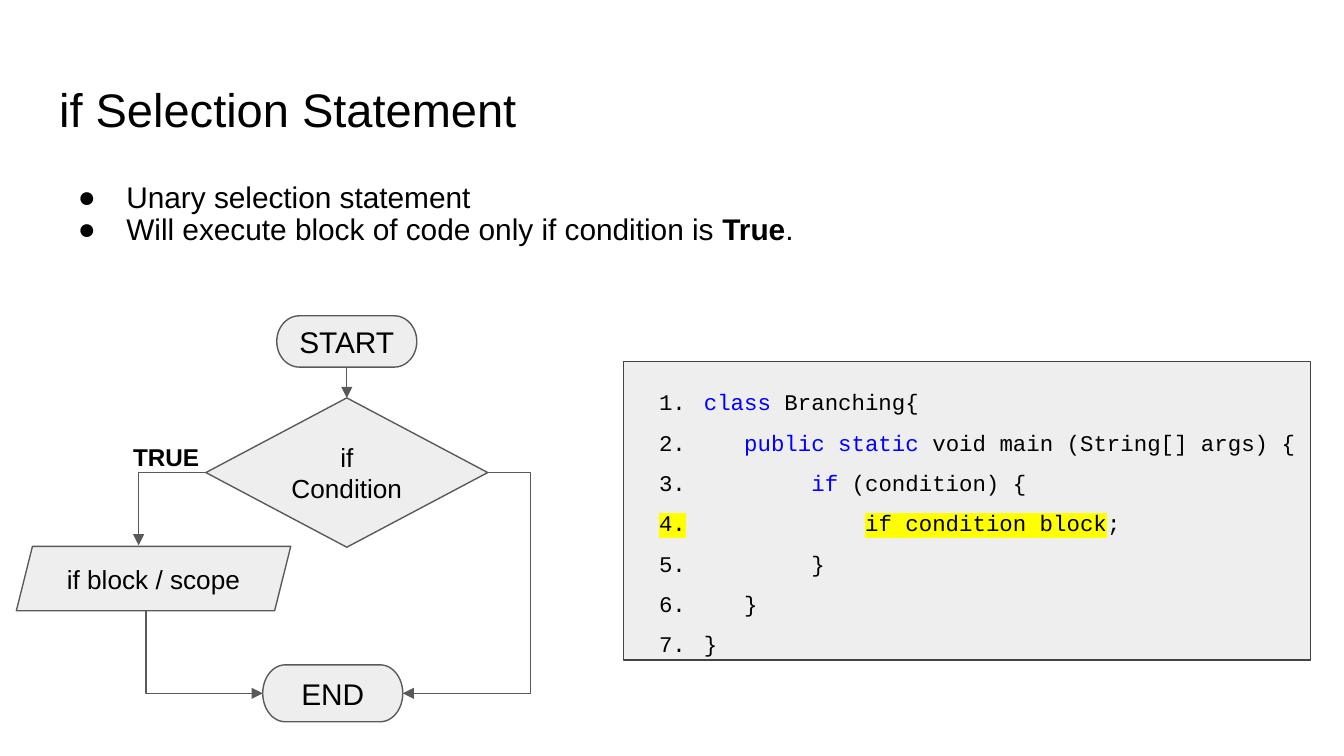
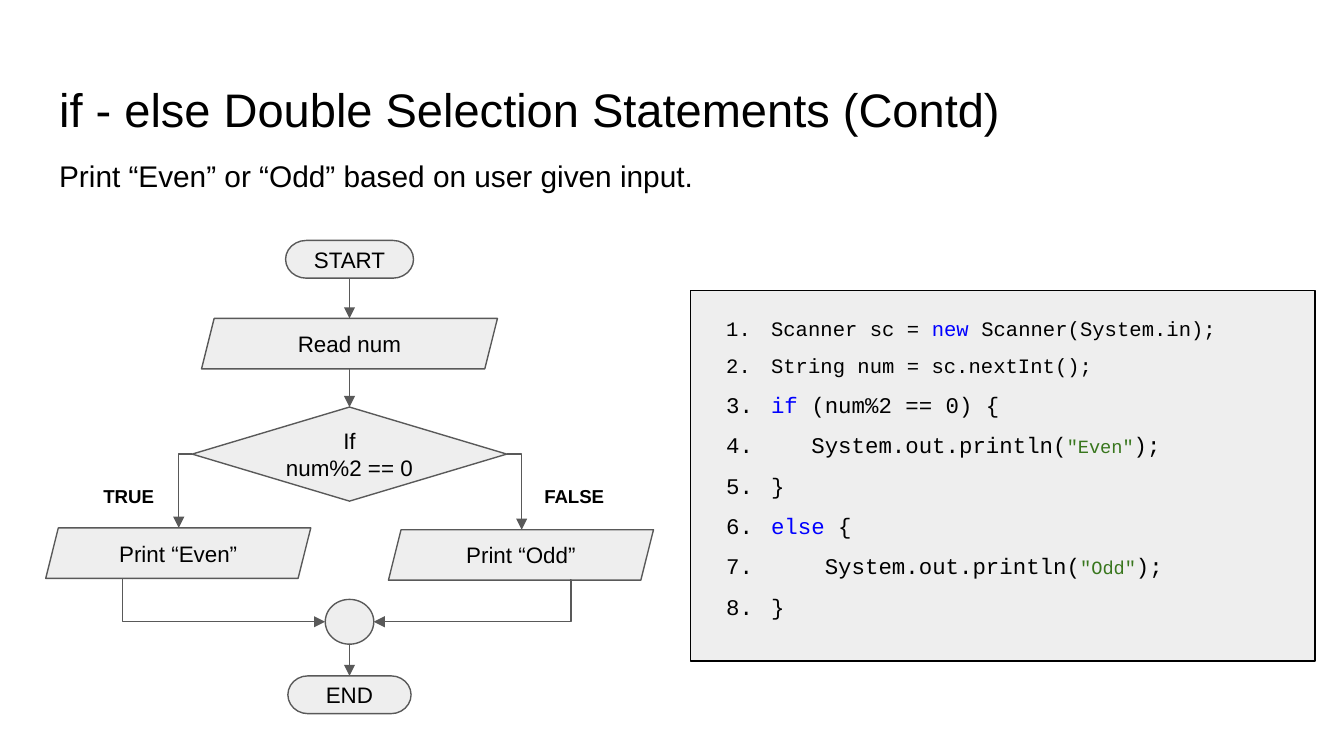
from lxml import etree
from pptx import Presentation
from pptx.dml.color import RGBColor
from pptx.enum.shapes import MSO_CONNECTOR, MSO_SHAPE
from pptx.enum.text import MSO_ANCHOR, MSO_AUTO_SIZE, PP_ALIGN
from pptx.oxml.ns import qn
from pptx.util import Pt

COLORS = {
    "text": "000000",
    "fill": "EEEEEE",
    "line": "595959",
    "panel_line": "434343",
    "keyword": "0000FF",
    "string": "38761D",
    "highlight": "FFFF00",
}
SANS, MONO = "Arial", "Courier New"
TERMINATOR = MSO_SHAPE.FLOWCHART_TERMINATOR
DIAMOND = MSO_SHAPE.DIAMOND
PARALLELOGRAM = MSO_SHAPE.PARALLELOGRAM
OVAL = MSO_SHAPE.OVAL
RECTANGLE = MSO_SHAPE.RECTANGLE
STRAIGHT, ELBOW = MSO_CONNECTOR.STRAIGHT, MSO_CONNECTOR.ELBOW
LEFT, CENTER = PP_ALIGN.LEFT, PP_ALIGN.CENTER
TOP, MIDDLE, BOTTOM = MSO_ANCHOR.TOP, MSO_ANCHOR.MIDDLE, MSO_ANCHOR.BOTTOM
NO_AUTOSIZE = MSO_AUTO_SIZE.NONE
TOP_SITE, BOTTOM_SITE = 0, 2
INSET = 7.2
CODE_SIZE = 12
CHARACTER_WIDTH = 0.6 * CODE_SIZE
KEYWORD = {"color": "keyword"}
STRING = {"color": "string", "size": 10}
SMALL = {"size": 11}
SMALL_KEYWORD = {**KEYWORD, **SMALL}


def rgb(name):
    """Return the named colour."""
    return RGBColor.from_string(COLORS[name])


def add_run(paragraph, text, size, font=SANS, color="text", bold=False, highlight=None):
    """Append one formatted run to a paragraph."""
    run = paragraph.add_run()
    run.text = text
    run.font.size = Pt(size)
    run.font.name = font
    run.font.bold = bold
    run.font.color.rgb = rgb(color)
    if highlight:
        mark = etree.Element(qn("a:highlight"))
        etree.SubElement(mark, qn("a:srgbClr"), val=COLORS[highlight])
        run.font._element.find(qn("a:solidFill")).addnext(mark)


def write(shape, paragraphs, align=LEFT, anchor=TOP, spacing=1.0, right=INSET, bottom=INSET, **format):
    """Fill a shape with paragraphs, each a list of (text, format) runs."""
    frame = shape.text_frame
    frame.auto_size = NO_AUTOSIZE
    frame.word_wrap = True
    frame.vertical_anchor = anchor
    frame.margin_left = frame.margin_top = Pt(INSET)
    frame.margin_right, frame.margin_bottom = Pt(right), Pt(bottom)
    for index, runs in enumerate(paragraphs):
        paragraph = frame.add_paragraph() if index else frame.paragraphs[0]
        paragraph.alignment = align
        paragraph.line_spacing = spacing
        paragraph.space_before = Pt(0)
        for text, changes in runs:
            add_run(paragraph, text, **{**format, **changes})
    return frame.paragraphs


def set_bullet(paragraph, margin, hanging, marker, font=SANS, **attributes):
    """Give a paragraph its indents and its list marker."""
    properties = paragraph._p.get_or_add_pPr()
    properties.set("marL", str(Pt(margin)))
    properties.set("indent", str(-Pt(hanging)))
    if marker != "buNone":
        color = etree.SubElement(properties, qn("a:buClr"))
        etree.SubElement(color, qn("a:srgbClr"), val=COLORS["text"])
        etree.SubElement(properties, qn("a:buFont"), typeface=font)
    etree.SubElement(properties, qn("a:" + marker), **attributes)


def place(shape, left, top, width, height):
    """Move and size a shape."""
    shape.left, shape.top = Pt(left), Pt(top)
    shape.width, shape.height = Pt(width), Pt(height)


def add_box(slide, kind, left, top, width, height, line="line"):
    """Add a grey outlined preset shape."""
    shape = slide.shapes.add_shape(kind, Pt(left), Pt(top), Pt(width), Pt(height))
    shape.shadow.inherit = False
    shape.fill.solid()
    shape.fill.fore_color.rgb = rgb("fill")
    shape.line.color.rgb = rgb(line)
    shape.line.width = Pt(0.75)
    return shape


def add_node(slide, box, kind, left, top, width, height, lines, size):
    """Add a flowchart node at a place relative to the chart box."""
    node = add_box(slide, kind, box[0] + left, box[1] + top, width, height)
    if lines:
        write(node, [[(line, {})] for line in lines], CENTER, MIDDLE, size=size)
    return node


def add_label(slide, box, left, top, width, height, text, size):
    """Add a bold branch label at a place relative to the chart box."""
    label = slide.shapes.add_textbox(Pt(box[0] + left), Pt(box[1] + top), Pt(width), Pt(height))
    write(label, [[(text, {})]], size=size, bold=True)


def add_arrow(slide, box, start, end, kind=STRAIGHT):
    """Add an arrow between two points relative to the chart box."""
    left, top = box
    arrow = slide.shapes.add_connector(
        kind, Pt(left + start[0]), Pt(top + start[1]), Pt(left + end[0]), Pt(top + end[1]))
    arrow.line.color.rgb = rgb("line")
    arrow.line.width = Pt(0.75)
    etree.SubElement(arrow.line._get_or_add_ln(), qn("a:tailEnd"), type="triangle")
    etree.SubElement(arrow._element.spPr, qn("a:effectLst"))
    return arrow


def add_elbow(slide, box, start, end, bend=None):
    """Add an arrow with one corner, or with its upright part at the bend."""
    arrow = add_arrow(slide, box, start, end, ELBOW)
    geometry = arrow._element.spPr.find(qn("a:prstGeom"))
    if bend is None:
        geometry.set("prst", "bentConnector2")
        return
    ratio = round((bend - start[0]) / (end[0] - start[0]) * 100000)
    adjustments = geometry.find(qn("a:avLst"))
    if adjustments is None:
        adjustments = etree.SubElement(geometry, qn("a:avLst"))
    etree.SubElement(adjustments, qn("a:gd"), name="adj1", fmla=f"val {ratio}")


def add_code(slide, box, lines, line="panel_line"):
    """Add a panel of numbered code, each line an (indent, runs) pair."""
    panel = add_box(slide, RECTANGLE, *box, line=line)
    paragraphs = write(panel, [runs for _, runs in lines], spacing=1.5, right=4,
                       size=CODE_SIZE, font=MONO)
    for paragraph, (indent, _) in zip(paragraphs, lines):
        shift = indent * CHARACTER_WIDTH
        set_bullet(paragraph, 36 + shift, 24 + shift, "buAutoNum", MONO, type="arabicPeriod")


def add_slide(presentation, title, body_box):
    """Add a slide with its title and return it with its placed body."""
    slide = presentation.slides.add_slide(presentation.slide_layouts[1])
    place(slide.shapes.title, 24.5, 35.4, 671, 45.2)
    write(slide.shapes.title, [[(title, {})]], anchor=BOTTOM, size=25.2)
    body = slide.placeholders[1]
    place(body, *body_box)
    return slide, body


def add_if_chart(slide, box):
    """Draw the flow of a single if."""
    start = add_node(slide, box, TERMINATOR, 139.5, 0, 75, 27.5, ["START"], 16)
    add_node(slide, box, TERMINATOR, 132, 187, 75, 30.5, ["END"], 16)
    decision = add_node(slide, box, DIAMOND, 101.5, 44, 151, 80, ["if Condition"], 14)
    add_node(slide, box, PARALLELOGRAM, 0, 123.5, 147, 34.5, ["if block / scope"], 14)
    arrow = add_arrow(slide, box, (177, 27.5), (177, 44))
    arrow.begin_connect(start, BOTTOM_SITE)
    arrow.end_connect(decision, TOP_SITE)
    add_elbow(slide, box, (101.5, 84), (65.5, 123))
    add_elbow(slide, box, (68.5, 158), (132, 202.25), bend=69.4)
    add_elbow(slide, box, (252.5, 84), (207, 202.25), bend=275.5)
    add_label(slide, box, 55.5, 60.5, 66, 15, "TRUE", 13)


def add_if_else_chart(slide, box):
    """Draw the flow of the even or odd test."""
    axis = 162.75
    column = [
        (TERMINATOR, 0, 68.5, 20.2, ["START"]),
        (PARALLELOGRAM, 41.8, 158.5, 27, ["Read num"]),
        (DIAMOND, 89.3, 168.5, 50.4, ["If", "num%2 == 0"]),
        (OVAL, 192.3, 26, 24, []),
        (TERMINATOR, 233.3, 66, 20.2, ["END"]),
    ]
    start, _, decision, _, end = [
        add_node(slide, box, kind, axis - width / 2, top, width, height, lines, 12)
        for kind, top, width, height, lines in column]
    for left, top, text in [(0, 154, "Print “Even”"), (183.6, 155, "Print “Odd”")]:
        add_node(slide, box, PARALLELOGRAM, left, top, 142, 27, [text], 12)
    first, second, last = [
        add_arrow(slide, box, (axis, above), (axis, below))
        for above, below in [(20.2, 41.8), (68.8, 89.3), (216.3, 233.3)]]
    first.begin_connect(start, BOTTOM_SITE)
    second.end_connect(decision, TOP_SITE)
    last.end_connect(end, TOP_SITE)
    add_elbow(slide, box, (78.5, 114.5), (71.3, 154))
    add_elbow(slide, box, (247, 114.5), (255, 155))
    add_elbow(slide, box, (40.5, 181), (axis - 13, 204.3), bend=41.2)
    add_elbow(slide, box, (280.8, 182), (axis + 13, 204.3), bend=281.4)
    for left, text in [(23.8, "TRUE"), (260, "FALSE")]:
        add_label(slide, box, left, 123.8, 56, 27, text, 10)


def add_if_slide(presentation):
    """Build the slide on the if statement."""
    slide, body = add_slide(presentation, "if Selection Statement", (24.5, 90.7, 671, 103))
    paragraphs = write(body, [
        [("Unary selection statement", {})],
        [("Will execute block of code only if condition is ", {}), ("True", {"bold": True}), (".", {})],
    ], spacing=0.9, size=16)
    for paragraph in paragraphs:
        set_bullet(paragraph, 36, 26, "buChar", char="●")
    add_if_chart(slide, (8.8, 169.2))
    add_code(slide, (334, 193.7, 368, 160), [
        (0, [("class", KEYWORD), (" Branching{", {})]),
        (3, [("public static", KEYWORD), (" void main (String[] args) {", {})]),
        (8, [("if", KEYWORD), (" (condition) {", {})]),
        (12, [("if condition block", {"highlight": "highlight"}), (";", {})]),
        (8, [("}", {})]),
        (3, [("}", {})]),
        (0, [("}", {})]),
    ])


def add_if_else_slide(presentation):
    """Build the slide on the if - else example."""
    slide, body = add_slide(presentation, "if - else Double Selection Statements (Contd)",
                            (24.5, 76.3, 667.5, 52.6))
    paragraphs = write(body, [[("Print “Even” or “Odd” based on user given input.", {})]],
                       anchor=MIDDLE, bottom=24, size=16)
    set_bullet(paragraphs[0], 0, 0, "buNone")
    add_if_else_chart(slide, (24.5, 128.8))
    add_code(slide, (370, 155.6, 334.6, 198.6), [
        (0, [("Scanner sc = ", SMALL), ("new ", SMALL_KEYWORD), ("Scanner(System.in);", SMALL)]),
        (0, [("String num = sc.nextInt();", SMALL)]),
        (0, [("if", KEYWORD), (" (num%2 == 0) {", {})]),
        (3, [("System.out.println(", {}), ("\"Even\"", STRING), (");", {})]),
        (0, [("}", {})]),
        (0, [("else", KEYWORD), (" {", {})]),
        (4, [("System.out.println(", {}), ("\"Odd\"", STRING), (");", {})]),
        (0, [("}", {})]),
    ], line="text")


def main():
    """Build and save the presentation."""
    presentation = Presentation()
    presentation.slide_width, presentation.slide_height = Pt(720), Pt(405)
    add_if_slide(presentation)
    add_if_else_slide(presentation)
    presentation.save("out.pptx")


if __name__ == "__main__":
    main()
